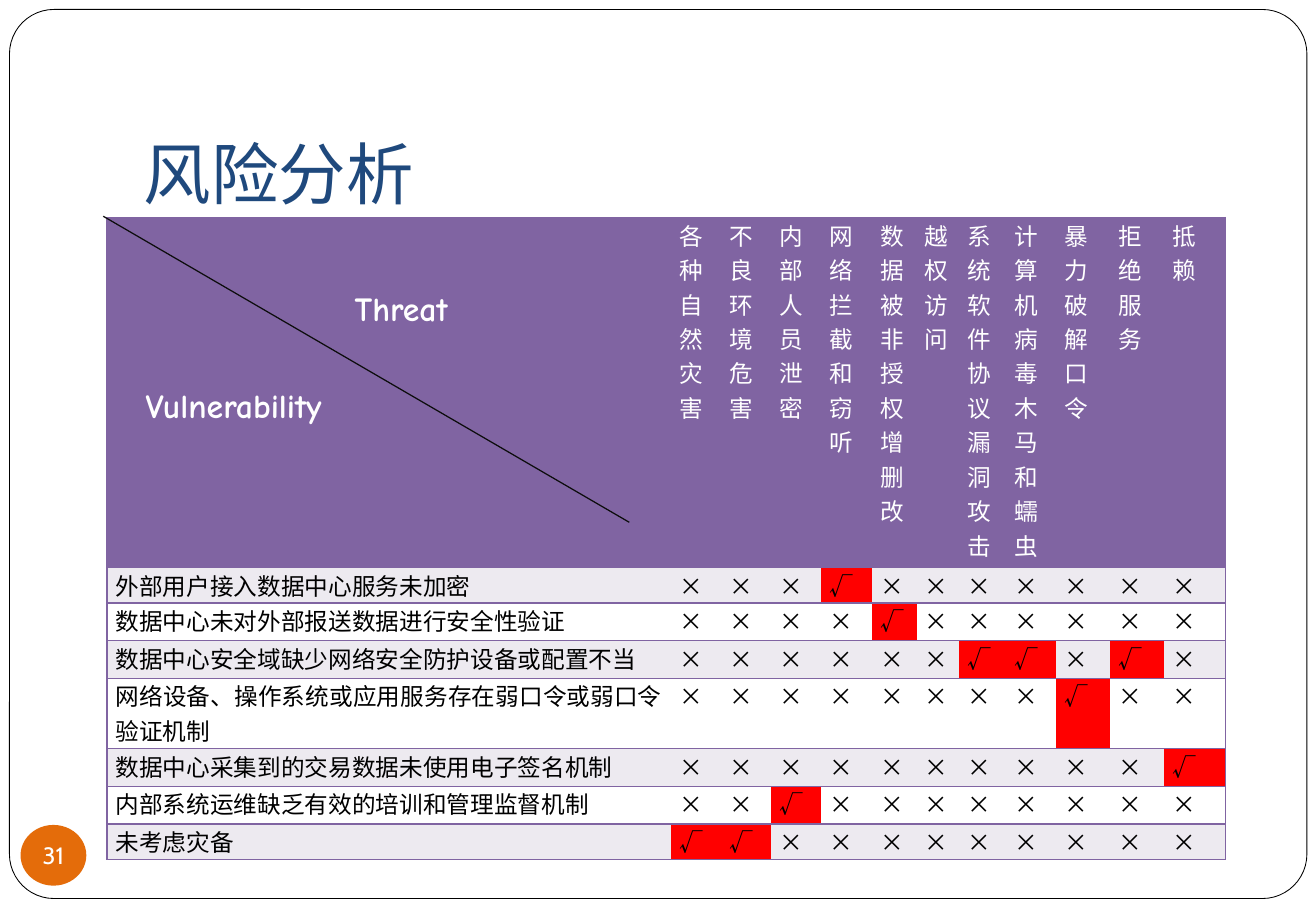
import pptx
import pptx.util
import pptx.dml.color
import pptx.enum.shapes
import pptx.enum.text
import pptx.oxml.xmlchemy
import lxml.etree

Pt = pptx.util.Pt
ALIGN = pptx.enum.text.PP_ALIGN
ANCHOR = pptx.enum.text.MSO_ANCHOR
PRESET = pptx.enum.shapes.MSO_SHAPE

COLORS = {
    "white": "FFFFFF", "black": "000000", "title": "1F497D", "purple": "8064A2",
    "band": "EDEAF0", "hit": "FF0000", "diagonal": "0D0D0D", "badge": "E46C0A",
}
LATIN, CJK, BADGE_FONT = "Comic Neue", "Noto Sans CJK SC", "Cabin"
DRAWING = "http://schemas.openxmlformats.org/drawingml/2006/main"

THREATS = [
    "各种自然灾害", "不良\n环境\n危害", "内部人员泄密", "网络拦截和窃听", "数据被非授权增删改",
    "越权访问", "系统软件协议漏洞攻击", "计算机病毒木马和蠕虫", "暴力破解口令", "拒绝服务", "抵赖",
]
VULNERABILITIES = [
    ("外部用户接入数据中心服务未加密", {4}),
    ("数据中心未对外部报送数据进行安全性验证", {5}),
    ("数据中心安全域缺少网络安全防护设备或配置不当", {7, 8, 10}),
    ("网络设备、操作系统或应用服务存在弱口令或弱口令验证机制", {9}),
    ("数据中心采集到的交易数据未使用电子签名机制", {11}),
    ("内部系统运维缺乏有效的培训和管理监督机制", {3}),
    ("未考虑灾备", {1, 2}),
]
COLUMN_WIDTHS = [334, 29.8, 29.8, 29.8, 29.8, 26.6, 25, 28.4, 29.6, 31.8, 31.8, 36.6]
ROW_HEIGHTS = [207.4, 21, 22.4, 22.4, 41.6, 22.4, 22.4, 21]


def rgb(name):
    """Return the named palette colour."""
    return pptx.dml.color.RGBColor.from_string(COLORS[name])


def drawing_child(parent, tag, **attributes):
    """Append a DrawingML element to its parent."""
    return lxml.etree.SubElement(parent, f"{{{DRAWING}}}{tag}", attributes)


def write(frame, text, size=14, color="black", font=CJK, bold=False, align=ALIGN.LEFT):
    """Fill a text frame with formatted paragraphs, one per line of text."""
    frame.text = text
    for paragraph in frame.paragraphs:
        paragraph.alignment = align
        for run in paragraph.runs:
            run.font.size, run.font.bold, run.font.name = Pt(size), bold, font
            run.font.color.rgb = rgb(color)
            drawing_child(run.font._element, "ea", typeface=CJK)


def add_preset(slide, preset, box, fill):
    """Add a filled preset shape without shadow."""
    shape = slide.shapes.add_shape(preset, *map(Pt, box))
    shape.shadow.inherit = False
    shape.fill.solid()
    shape.fill.fore_color.rgb = rgb(fill)
    return shape


def add_page_frame(slide, box):
    """Place the rounded page outline behind the title."""
    outline = add_preset(slide, PRESET.ROUNDED_RECTANGLE, box, "white")
    outline.adjustments[0] = 0.05
    outline.line.color.rgb = rgb("black")
    outline.line.width = Pt(0.5)
    slide.shapes.title.element.addprevious(outline.element)


def add_heading(slide, box):
    """Move the title placeholder to its box and fill it."""
    heading = slide.shapes.title
    heading.left, heading.top, heading.width, heading.height = map(Pt, box)
    frame = heading.text_frame
    write(frame, "风险分析", size=40, color="title", font=LATIN)
    frame.auto_size = pptx.enum.text.MSO_AUTO_SIZE.NONE
    frame.vertical_anchor = ANCHOR.BOTTOM
    frame.margin_bottom = Pt(7.2)


def set_borders(cell, sides):
    """Draw purple borders on the given sides and clear the others."""
    properties = cell._tc.get_or_add_tcPr()
    for side in "LRTB":
        line = drawing_child(properties, f"ln{side}", w=str(Pt(1)))
        if side in sides:
            drawing_child(drawing_child(line, "solidFill"), "srgbClr", val=COLORS["purple"])
        else:
            drawing_child(line, "noFill")


def add_risk_matrix(slide, box):
    """Build the matrix of vulnerabilities against threats."""
    rows = [["", *THREATS]]
    for vulnerability, hits in VULNERABILITIES:
        marks = ["√" if n in hits else "×" for n in range(1, len(THREATS) + 1)]
        rows.append([vulnerability, *marks])
    last = len(THREATS)
    matrix = slide.shapes.add_table(len(rows), last + 1, *map(Pt, box)).table
    matrix.first_row = matrix.horz_banding = False
    for column, width in zip(matrix.columns, COLUMN_WIDTHS):
        column.width = Pt(width)
    for r, texts in enumerate(rows):
        matrix.rows[r].height = Pt(ROW_HEIGHTS[r])
        row_fill = "purple" if r == 0 else "band" if r % 2 else "white"
        for c, text in enumerate(texts):
            cell = matrix.cell(r, c)
            cell.margin_left = cell.margin_right = Pt(5)
            cell.margin_top = cell.margin_bottom = 0
            set_borders(cell, "TB" + ("L" if c == 0 else "R" if c == last else ""))
            cell.fill.solid()
            cell.fill.fore_color.rgb = rgb("hit" if text == "√" else row_fill)
            write(cell.text_frame, text, color="black" if r else "white", align=ALIGN.JUSTIFY)


def add_corner(slide, box):
    """Split the header corner with a diagonal and label both axes."""
    left, top, width, height = box
    diagonal = slide.shapes.add_connector(
        pptx.enum.shapes.MSO_CONNECTOR.STRAIGHT,
        Pt(left), Pt(top), Pt(left + width), Pt(top + height))
    diagonal.line.color.rgb = rgb("diagonal")
    diagonal.line.width = Pt(0.75)
    drawing_child(diagonal.element.spPr, "effectLst")
    for axis, dx, dy in (("Vulnerability", 18, 96.5), ("Threat", 142, 39)):
        label = slide.shapes.add_textbox(Pt(left + dx), Pt(top + dy), Pt(139), Pt(31.5))
        label.text_frame.word_wrap = True
        write(label.text_frame, axis, size=20, color="white", font=LATIN, bold=True)


def add_page_number(slide, box):
    """Place the page number in its round badge."""
    badge = add_preset(slide, PRESET.OVAL, box, "badge")
    badge.line.fill.background()
    frame = badge.text_frame
    frame.margin_left = frame.margin_right = frame.margin_top = frame.margin_bottom = 0
    frame.word_wrap = False
    frame.vertical_anchor = ANCHOR.MIDDLE
    write(frame, "31", color="white", font=BADGE_FONT, align=ALIGN.CENTER)


def main():
    """Build the risk analysis slide and save it."""
    deck = pptx.Presentation()
    deck.slide_width, deck.slide_height = Pt(780), Pt(540)
    slide = deck.slides.add_slide(deck.slide_layouts[5])
    add_page_frame(slide, (5.6, 5.6, 769, 527))
    add_heading(slide, (78, 21.6, 663, 111.6))
    add_risk_matrix(slide, (63.5, 129, 663, 380.6))
    add_corner(slide, (61.2, 128.2, 311.8, 181.4))
    add_page_number(slide, (12.2, 489, 39, 36))
    deck.save("out.pptx")


if __name__ == "__main__":
    main()
